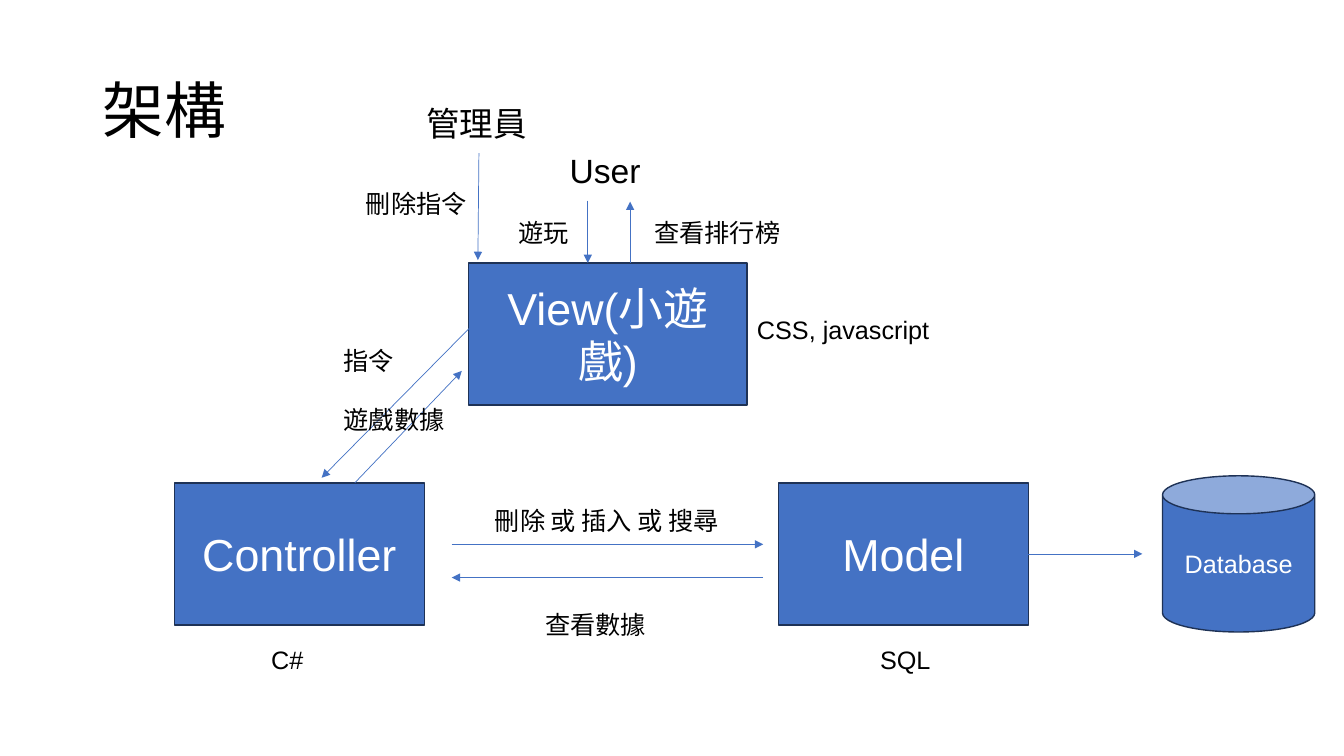
import pptx
import pptx.util
import pptx.dml.color
import pptx.enum.shapes
import pptx.enum.text
import pptx.oxml.ns
from lxml import etree

RGBColor = pptx.dml.color.RGBColor
SHAPE = pptx.enum.shapes.MSO_SHAPE
ANCHOR = pptx.enum.text.MSO_ANCHOR
ALIGN = pptx.enum.text.PP_ALIGN

BLUE = RGBColor(0x44, 0x72, 0xC4)
NAVY = RGBColor(0x1E, 0x32, 0x56)
BLACK = RGBColor(0, 0, 0)
WHITE = RGBColor(255, 255, 255)

# The grid has columns and rows of one inch.
COLUMNS, ROWS = 13.33, 7.5
TITLE = ("架構", 0.92, 0.4, 11.5, 1.45)
BOX_TOP, BOX_HEIGHT = 4.79, 1.41
VIEW_TOP, VIEW_BOTTOM = 2.61, 2.61 + BOX_HEIGHT

# text, shape, left, top, width, height, font size
NODES = [
    ("View(小遊戲)", SHAPE.RECTANGLE, 4.65, VIEW_TOP, 2.76, BOX_HEIGHT, 32),
    ("Controller", SHAPE.RECTANGLE, 1.73, BOX_TOP, 2.48, BOX_HEIGHT, 32),
    ("Model", SHAPE.RECTANGLE, 7.72, BOX_TOP, 2.48, BOX_HEIGHT, 32),
    ("Database", SHAPE.CAN, 11.53, 4.72, 1.51, 1.55, 18),
]

# text, left, top, width, font size
LABELS = [
    ("管理員", 4.13, 0.97, 1.21, 24),
    ("User", 5.55, 1.44, 0.91, 24),
    ("刪除指令", 3.53, 1.82, 1.21, 18),
    ("遊玩", 5.04, 2.11, 0.71, 18),
    ("查看排行榜", 6.39, 2.11, 1.46, 18),
    ("CSS, javascript", 7.41, 3.07, 1.93, 18),
    ("指令", 3.31, 3.38, 0.71, 18),
    ("遊戲數據", 3.31, 3.96, 1.21, 18),
    ("刪除 或 插入 或 搜尋", 4.81, 4.96, 2.5, 18),
    ("查看數據", 5.31, 6, 1.21, 18),
    ("C#", 2.59, 6.34, 0.52, 18),
    ("SQL", 8.63, 6.34, 0.71, 18),
]
LABEL_HEIGHTS = {18: 0.4, 24: 0.5}

# start column, start row, end column, end row
ARROWS = [
    (4.75, 1.52, 4.74, 2.58),
    (5.83, 1.99, 5.83, VIEW_TOP),
    (6.25, VIEW_TOP, 6.25, 2),
    (4.73, 3.18, 3.19, 4.74),
    (3.52, BOX_TOP, 4.58, 3.68),
    (4.48, 5.4, 7.57, 5.4),
    (7.57, 5.73, 4.48, 5.73),
]
MODEL_ARROW = (10.2, BOX_TOP + BOX_HEIGHT / 2, 11.33, BOX_TOP + BOX_HEIGHT / 2)


def grid(*cells):
    return [pptx.util.Inches(cell) for cell in cells]


def write(shape, text, size, color):
    para = shape.text_frame.paragraphs[0]
    para.text = text
    font = para.runs[0].font
    font.name, font.size = "Arial", pptx.util.Pt(size)
    font.color.rgb = color
    return para


def add_title(slide, text, *place):
    box = slide.shapes.add_textbox(*grid(*place))
    box.text_frame.word_wrap = True
    box.text_frame.vertical_anchor = ANCHOR.MIDDLE
    write(box, text, 44, BLACK).line_spacing = 0.9


def add_node(slide, text, kind, left, top, width, height, size):
    node = slide.shapes.add_shape(kind, *grid(left, top, width, height))
    node.shadow.inherit = False
    node.fill.solid()
    node.fill.fore_color.rgb = BLUE
    node.line.color.rgb = NAVY
    node.line.width = pptx.util.Pt(1)
    node.text_frame.word_wrap = True
    node.text_frame.vertical_anchor = ANCHOR.MIDDLE
    write(node, text, size, WHITE).alignment = ALIGN.CENTER
    return node


def add_label(slide, text, left, top, width, size):
    box = slide.shapes.add_textbox(*grid(left, top, width, LABEL_HEIGHTS[size]))
    box.text_frame.word_wrap = False
    box.text_frame.auto_size = pptx.enum.text.MSO_AUTO_SIZE.SHAPE_TO_FIT_TEXT
    write(box, text, size, BLACK)


def add_arrow(slide, *ends):
    arrow = slide.shapes.add_connector(
        pptx.enum.shapes.MSO_CONNECTOR.STRAIGHT, *grid(*ends))
    arrow.line.color.rgb = BLUE
    arrow.line.width = pptx.util.Pt(0.5)
    qn = pptx.oxml.ns.qn
    etree.SubElement(arrow.line._get_or_add_ln(), qn("a:tailEnd"), type="triangle")
    etree.SubElement(arrow._element.spPr, qn("a:effectLst"))
    return arrow


def main():
    deck = pptx.Presentation()
    deck.slide_width, deck.slide_height = grid(COLUMNS, ROWS)
    slide = deck.slides.add_slide(deck.slide_layouts[6])
    add_title(slide, *TITLE)
    nodes = {node[0]: add_node(slide, *node) for node in NODES}
    for arrow in ARROWS:
        add_arrow(slide, *arrow)
    add_arrow(slide, *MODEL_ARROW).begin_connect(nodes["Model"], 3)
    for label in LABELS:
        add_label(slide, *label)
    deck.save("out.pptx")


if __name__ == "__main__":
    main()
